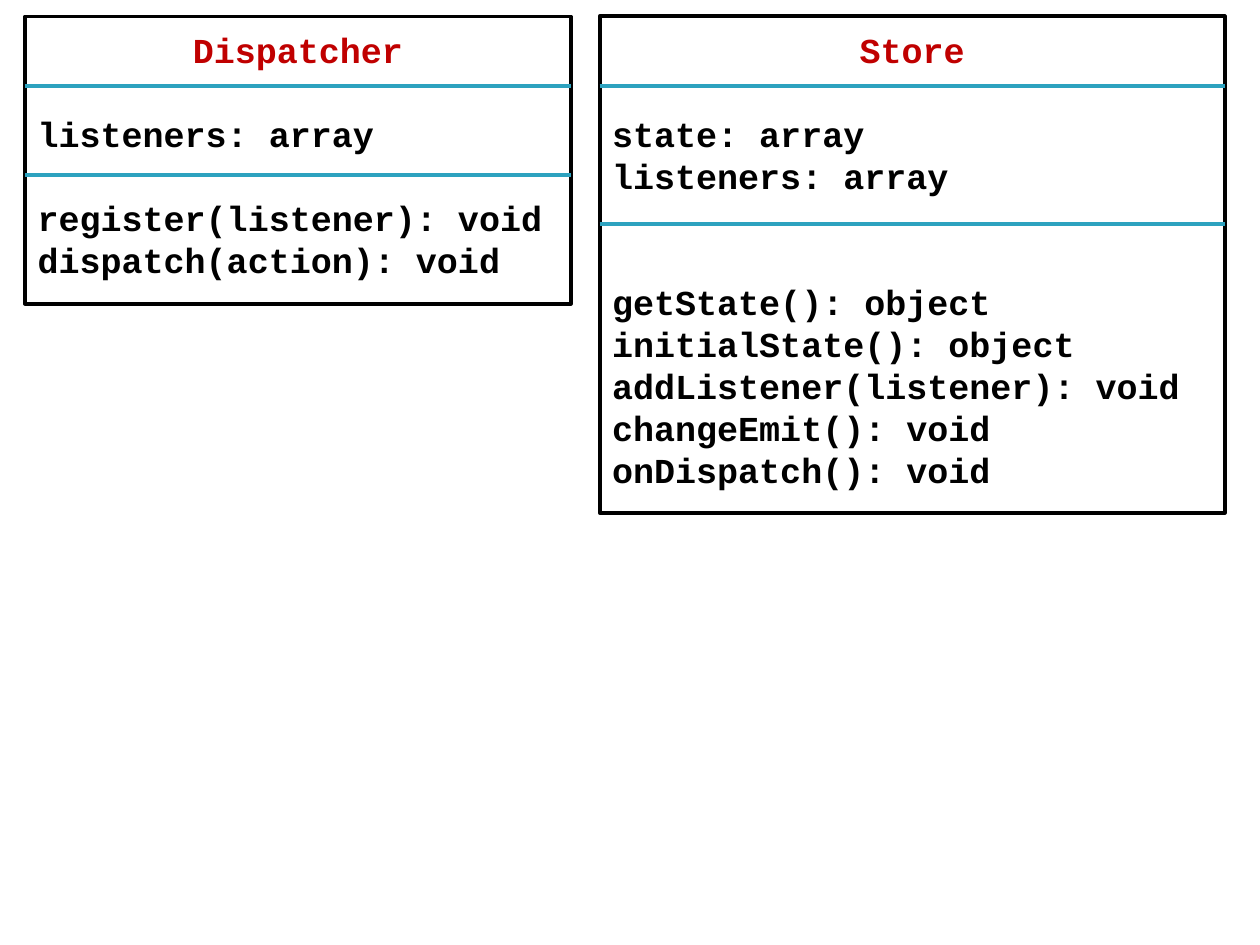
from dataclasses import dataclass

from lxml.etree import SubElement
from pptx import Presentation
from pptx.dml.color import RGBColor
from pptx.enum.shapes import MSO_CONNECTOR, MSO_SHAPE
from pptx.enum.text import MSO_ANCHOR, PP_ALIGN
from pptx.oxml.ns import qn
from pptx.util import Pt


@dataclass(frozen=True)
class Theme:
    """Colours, type and line sizes of the slide."""
    font: str = "Courier New"
    size: float = 20
    leading: float = 24
    stroke: float = 2.25
    ink: RGBColor = RGBColor(0, 0, 0)
    name: RGBColor = RGBColor(0xC0, 0, 0)
    divider: RGBColor = RGBColor(0x2D, 0xA2, 0xBF)


THEME = Theme()
BOX_TOP = 9.4
NAME_DIVIDER = 49


def add_line(tf, text, color, first=False, align=PP_ALIGN.LEFT, gap_lines=0):
    """Add one line of text, with a gap above counted in lines."""
    p = tf.paragraphs[0] if first else tf.add_paragraph()
    p.text = text
    p.alignment = align
    p.line_spacing = Pt(THEME.leading)
    p.space_before = Pt(gap_lines * THEME.leading)
    p.font.name = THEME.font
    p.font.size = Pt(THEME.size)
    p.font.bold = True
    p.font.color.rgb = color


def add_divider(slide, left, width, y):
    """Draw a horizontal rule across a class box."""
    line = slide.shapes.add_connector(
        MSO_CONNECTOR.STRAIGHT, Pt(left), Pt(y), Pt(left + width), Pt(y))
    line.line.color.rgb = THEME.divider
    line.line.width = Pt(THEME.stroke)
    SubElement(line._element.spPr, qn("a:effectLst"))


def add_class_box(slide, left, width, height, name, fields, methods,
                  method_gap, field_divider):
    """Draw a class box with its name, fields and methods."""
    sp = slide.shapes.add_shape(
        MSO_SHAPE.RECTANGLE, Pt(left), Pt(BOX_TOP), Pt(width), Pt(height))
    sp.shadow.inherit = False
    sp.fill.background()
    sp.line.color.rgb = THEME.ink
    sp.line.width = Pt(THEME.stroke)

    tf = sp.text_frame
    tf.word_wrap = True
    tf.vertical_anchor = MSO_ANCHOR.TOP
    tf.margin_top = Pt(7)
    add_line(tf, name, THEME.name, first=True, align=PP_ALIGN.CENTER)
    for members, gap in ((fields, 1), (methods, method_gap)):
        for i, text in enumerate(members):
            add_line(tf, text, THEME.ink, gap_lines=0 if i else gap)

    for y in (NAME_DIVIDER, field_divider):
        add_divider(slide, left, width, y)


def main():
    """Build and save the class diagram."""
    prs = Presentation()
    prs.slide_width, prs.slide_height = Pt(720), Pt(540)
    slide = prs.slides.add_slide(prs.slide_layouts[6])
    add_class_box(
        slide, 14.4, 311.8, 164.2, "Dispatcher",
        ["listeners: array"],
        ["register(listener): void", "dispatch(action): void"],
        method_gap=1, field_divider=100)
    add_class_box(
        slide, 342.7, 357.1, 283.7, "Store",
        ["state: array", "listeners: array"],
        ["getState(): object", "initialState(): object",
         "addListener(listener): void", "changeEmit(): void",
         "onDispatch(): void"],
        method_gap=2, field_divider=128.2)
    prs.save("out.pptx")


main()
